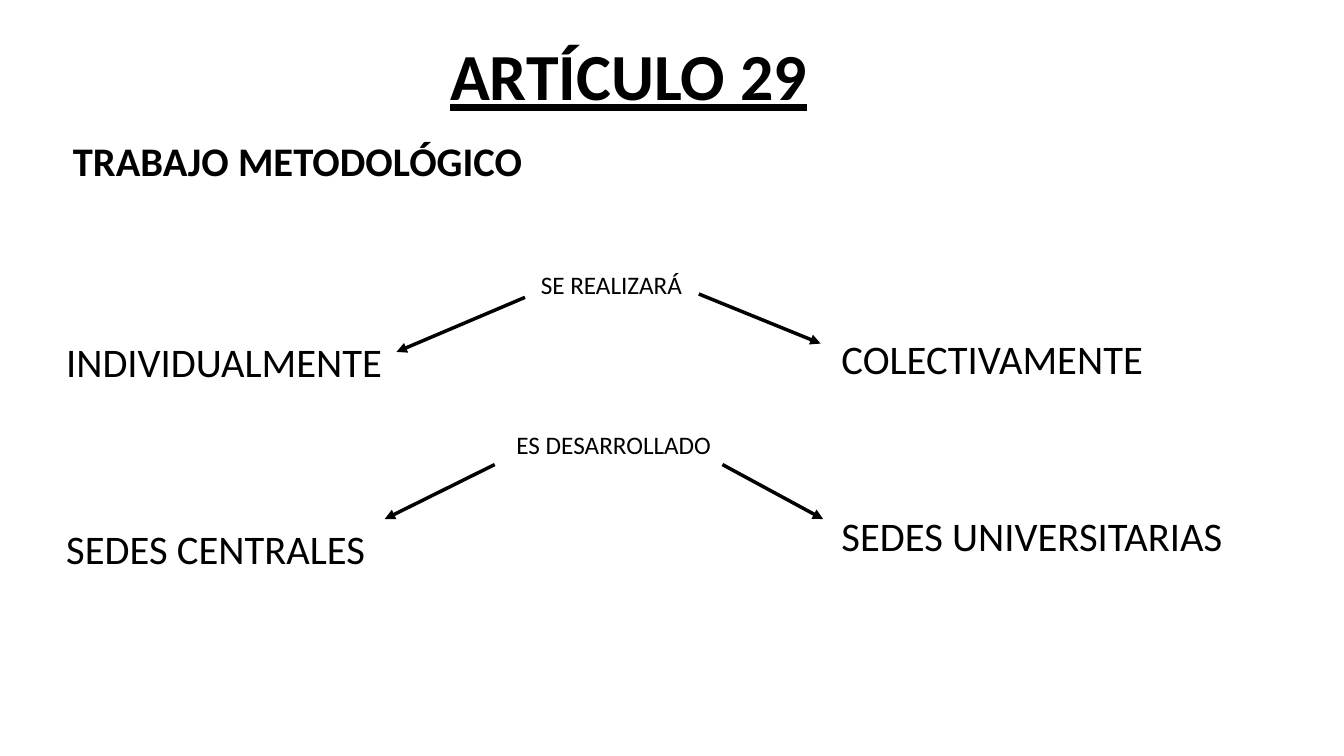
from collections import namedtuple
from dataclasses import dataclass

from lxml.etree import SubElement
from pptx import Presentation
from pptx.dml.color import RGBColor
from pptx.enum.shapes import MSO_CONNECTOR
from pptx.enum.text import MSO_AUTO_SIZE
from pptx.oxml.ns import qn
from pptx.util import Inches, Pt

CELL = Inches(1) // 12
COLUMNS, ROWS = 160, 90

Box = namedtuple("Box", "left top width height")
Leaf = namedtuple("Leaf", "text left top width arrow_from arrow_to")


@dataclass(frozen=True)
class Theme:
    """Colours, font and type sizes of the slide."""
    ink: RGBColor = RGBColor(0, 0, 0)
    font: str = "Calibri"
    title: int = 47
    body: int = 29
    link: int = 18
    stroke: float = 2.5


THEME = Theme()


def cells(*counts):
    """Turn grid counts into slide lengths."""
    return [round(count * CELL) for count in counts]


def add_label(page, box, text, size, bold=False, underline=False):
    """Write one line of text in the box."""
    label = page.shapes.add_textbox(*cells(*box))
    frame = label.text_frame
    frame.word_wrap = True
    frame.auto_size = MSO_AUTO_SIZE.SHAPE_TO_FIT_TEXT
    para = frame.paragraphs[0]
    para.text = text
    font = para.font
    font.name, font.size, font.color.rgb = THEME.font, Pt(size), THEME.ink
    font.bold, font.underline = bold, underline


def add_arrow(page, start, end):
    """Draw a straight arrow between two grid points."""
    arrow = page.shapes.add_connector(MSO_CONNECTOR.STRAIGHT, *cells(*start, *end))
    arrow.line.color.rgb = THEME.ink
    arrow.line.width = Pt(THEME.stroke)
    SubElement(arrow.line._get_or_add_ln(), qn("a:tailEnd"), type="triangle")
    SubElement(arrow._element.spPr, qn("a:effectLst"))


def add_heading(page, box):
    """Place the title and the topic below it."""
    add_label(page, Box(box.left + 44.9, box.top, 46.7, 10.7),
              "ARTÍCULO 29", THEME.title, bold=True, underline=True)
    add_label(page, Box(box.left, box.top + 12, 72, 7),
              "TRABAJO METODOLÓGICO", THEME.body, bold=True)


def add_branch(page, box, link, link_width, leaves):
    """Place a linking phrase with an arrow to each of its leaves."""
    def inside(point):
        return box.left + point[0], box.top + point[1]

    link_left = 66.5 - link_width / 2
    add_label(page, Box(*inside((link_left, 0)), link_width, 4.8), link, THEME.link)
    for leaf in leaves:
        add_label(page, Box(*inside((leaf.left, leaf.top)), leaf.width, 7),
                  leaf.text, THEME.body)
        add_arrow(page, inside(leaf.arrow_from), inside(leaf.arrow_to))


def build_slide(deck):
    """Lay out the heading and both branches."""
    page = deck.slides.add_slide(deck.slide_layouts[6])
    add_heading(page, Box(7.5, 3.6, 140, 19))
    add_branch(page, Box(6.7, 31.5, 140.5, 15), "SE REALIZARÁ", 20, [
        Leaf("INDIVIDUALMENTE", 0, 8, 41, (55.8, 3.9), (40.5, 10.4)),
        Leaf("COLECTIVAMENTE", 92.3, 7.7, 39.8, (76.5, 3.5), (91, 9.4)),
    ])
    add_branch(page, Box(6.7, 50.5, 140.5, 18.3), "ES DESARROLLADO", 25.8, [
        Leaf("SEDES CENTRALES", 0, 11.3, 39.2, (52.2, 4.8), (39.1, 11.3)),
        Leaf("SEDES UNIVERSITARIAS", 92.3, 9.7, 48.2, (79.3, 4.8), (91.3, 11.3)),
    ])


deck = Presentation()
deck.slide_width, deck.slide_height = cells(COLUMNS, ROWS)
build_slide(deck)
deck.save("out.pptx")
